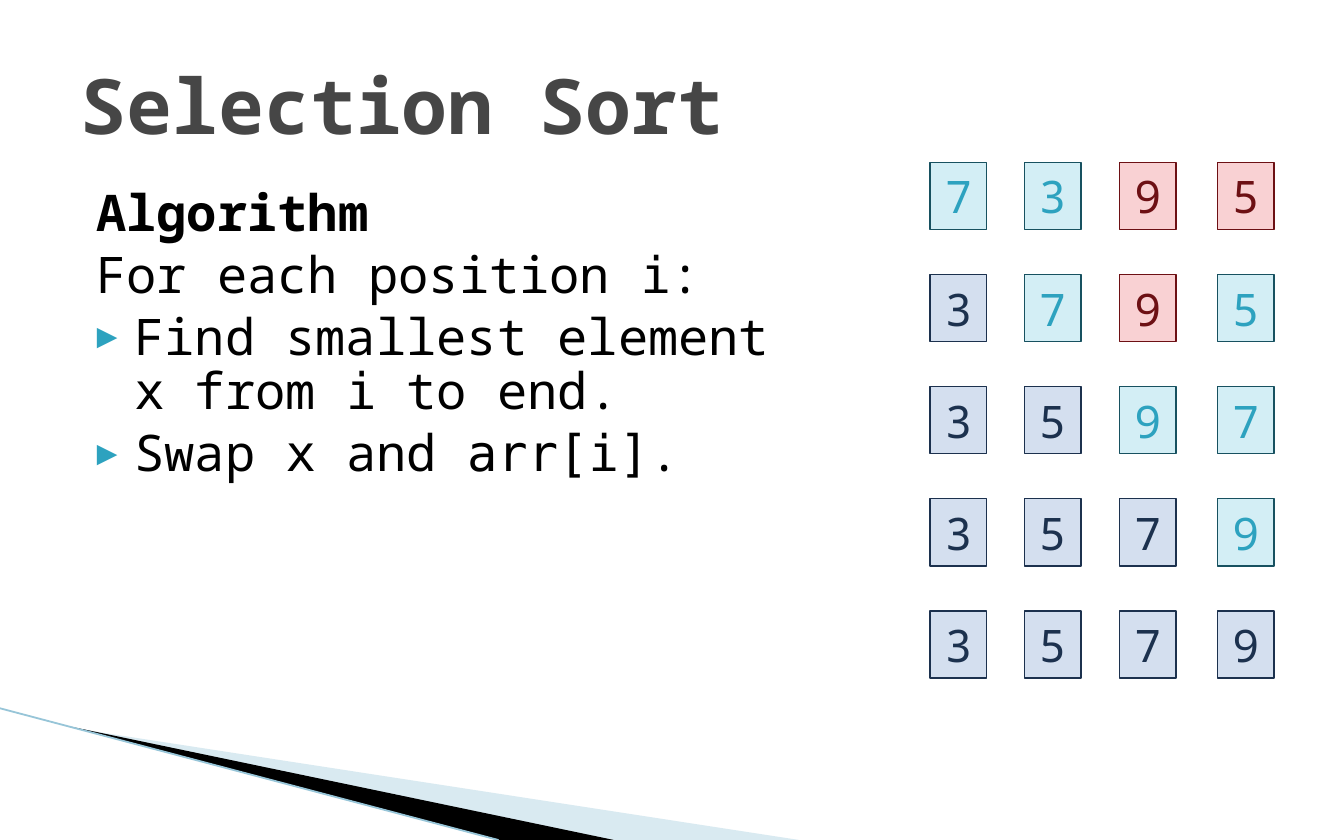
from dataclasses import dataclass
from typing import NamedTuple

from lxml import etree
from pptx import Presentation
from pptx import util as u
from pptx.dml.color import RGBColor
from pptx.enum import shapes, text
from pptx.oxml.ns import qn


class Look(NamedTuple):
    fill: str
    line: str
    ink: str


class Cell(NamedTuple):
    digit: str
    look: Look


class Point(NamedTuple):
    x: float
    y: float


@dataclass(frozen=True)
class Theme:
    font: str = "Noto Sans Mono"
    code: str = "DejaVu Sans Mono"
    title: str = "464646"
    ink: str = "000000"
    accent: str = "2DA2BF"
    pale: str = "A0CBDC"
    edge: str = "97C5D8"
    big: int = 41
    body: int = 27
    digit: int = 24
    done: Look = Look("D4DFEF", "1C314E", "1C314E")
    swap: Look = Look("D3EEF5", "175160", "2DA2BF")
    rest: Look = Look("F9D1D3", "6D1014", "6D1014")


THEME = Theme()
LEFT = text.PP_ALIGN.LEFT
CENTER = text.PP_ALIGN.CENTER

# State of the array after each pass: d = done, s = swap, r = rest
LOOKS = {"d": THEME.done, "s": THEME.swap, "r": THEME.rest}
PASSES = ("7s 3s 9r 5r", "3d 7s 9r 5s", "3d 5d 9s 7s", "3d 5d 7d 9s", "3d 5d 7d 9d")
COLS = (17.58, 19.36, 21.16, 23.01)
TOP, STEP = 3.07, 2.12
WIDE, HIGH = 1.07, 1.27


def rgb(code: str) -> RGBColor:
    return RGBColor.from_string(code)


def write(par, words: str, *, size: int, color: str, bold: bool = False, align=LEFT) -> None:
    """Fill a paragraph; words between backticks take the code font."""
    par.alignment = align
    for i, part in enumerate(words.split("`")):
        if part:
            run = par.add_run()
            run.text = part
            font = run.font
            font.name = THEME.code if i % 2 else THEME.font
            font.size, font.bold = u.Pt(size), bold
            font.color.rgb = rgb(color)


def place(shape, left: float, top: float, width: float, height: float) -> None:
    shape.left, shape.top = u.Cm(left), u.Cm(top)
    shape.width, shape.height = u.Cm(width), u.Cm(height)


def indent(par, left: float, first: float = 0) -> None:
    props = par._p.get_or_add_pPr()
    props.set("marL", str(u.Cm(left)))
    props.set("indent", str(u.Cm(first)))


def bullet(par) -> None:
    props = par._p.get_or_add_pPr()
    tint = etree.SubElement(props, qn("a:buClr"))
    etree.SubElement(tint, qn("a:srgbClr"), val=THEME.accent)
    etree.SubElement(props, qn("a:buSzPct"), val="68000")
    etree.SubElement(props, qn("a:buFont"), typeface=THEME.code)
    etree.SubElement(props, qn("a:buChar"), char="▶")


def wedge(slide, points: list[Point], color: str, alpha: int = 100) -> None:
    dots = [(u.Cm(p.x), u.Cm(p.y)) for p in points]
    form = slide.shapes.build_freeform(*dots[0])
    form.add_line_segments(dots[1:], close=True)
    shape = form.convert_to_shape()
    shape.shadow.inherit = False
    shape.fill.solid()
    shape.fill.fore_color.rgb = rgb(color)
    shape.line.fill.background()
    if alpha < 100:
        tint = shape._element.spPr.find(qn("a:solidFill"))[0]
        etree.SubElement(tint, qn("a:alpha"), val=str(alpha * 1000))


def box(group, cell: Cell, left: float, top: float) -> None:
    shape = group.shapes.add_shape(
        shapes.MSO_SHAPE.RECTANGLE, u.Cm(left), u.Cm(top), u.Cm(WIDE), u.Cm(HIGH))
    shape.shadow.inherit = False
    shape.fill.solid()
    shape.fill.fore_color.rgb = rgb(cell.look.fill)
    shape.line.color.rgb = rgb(cell.look.line)
    shape.line.width = u.Pt(0.75)
    frame = shape.text_frame
    frame.margin_left = frame.margin_right = frame.margin_top = frame.margin_bottom = 0
    frame.vertical_anchor = text.MSO_ANCHOR.MIDDLE
    write(frame.paragraphs[0], cell.digit, size=THEME.digit, color=cell.look.ink, align=CENTER)


def decor(slide) -> None:
    wedge(slide, [Point(1.4, 13.77), Point(15.1, 15.88), Point(11.58, 15.88)], THEME.pale, 40)
    wedge(slide, [Point(1.35, 13.74), Point(11.6, 15.88), Point(9.45, 15.88)], THEME.ink)
    line = slide.shapes.add_connector(
        shapes.MSO_CONNECTOR.STRAIGHT, 0, u.Cm(13.39), u.Cm(9.42), u.Cm(15.88))
    line.line.color.rgb = rgb(THEME.edge)
    line.line.width = u.Pt(0.95)
    etree.SubElement(line._element.spPr, qn("a:effectLst"))


def heading(slide) -> None:
    title = slide.shapes.title
    place(title, 1.27, 0.64, 22.86, 2.64)
    frame = title.text_frame
    frame.auto_size = text.MSO_AUTO_SIZE.NONE
    frame.vertical_anchor = text.MSO_ANCHOR.MIDDLE
    write(frame.paragraphs[0], "Selection Sort", size=THEME.big, color=THEME.title, bold=True)


def steps(slide) -> None:
    shape = slide.shapes.add_textbox(0, 0, 0, 0)
    place(shape, 1.27, 3.43, 13.97, 10.46)
    frame = shape.text_frame
    frame.word_wrap = True
    lines = (
        ("Algorithm", True, False),
        ("For each position `i`:", False, False),
        ("Find smallest element `x` from `i` to end.", False, True),
        ("Swap `x` and `arr[i]`.", False, True),
    )
    for i, (words, bold, listed) in enumerate(lines):
        par = frame.add_paragraph() if i else frame.paragraphs[0]
        par.space_before, par.line_spacing = u.Pt(4), 0.9
        write(par, words, size=THEME.body, color=THEME.ink, bold=bold)
        if listed:
            indent(par, 1.02, -0.71)
            bullet(par)
        else:
            indent(par, 0.3)


def passes(slide) -> None:
    for i, row in enumerate(PASSES):
        group = slide.shapes.add_group_shape()
        for left, mark in zip(COLS, row.split()):
            box(group, Cell(mark[0], LOOKS[mark[1]]), left, TOP + i * STEP)


def main() -> None:
    deck = Presentation()
    deck.slide_width, deck.slide_height = u.Cm(25.4), u.Cm(15.88)
    slide = deck.slides.add_slide(deck.slide_layouts[5])
    decor(slide)    # corner wedges
    heading(slide)  # title
    steps(slide)    # algorithm in words
    passes(slide)   # array after each pass
    deck.save("out.pptx")


if __name__ == "__main__":
    main()
